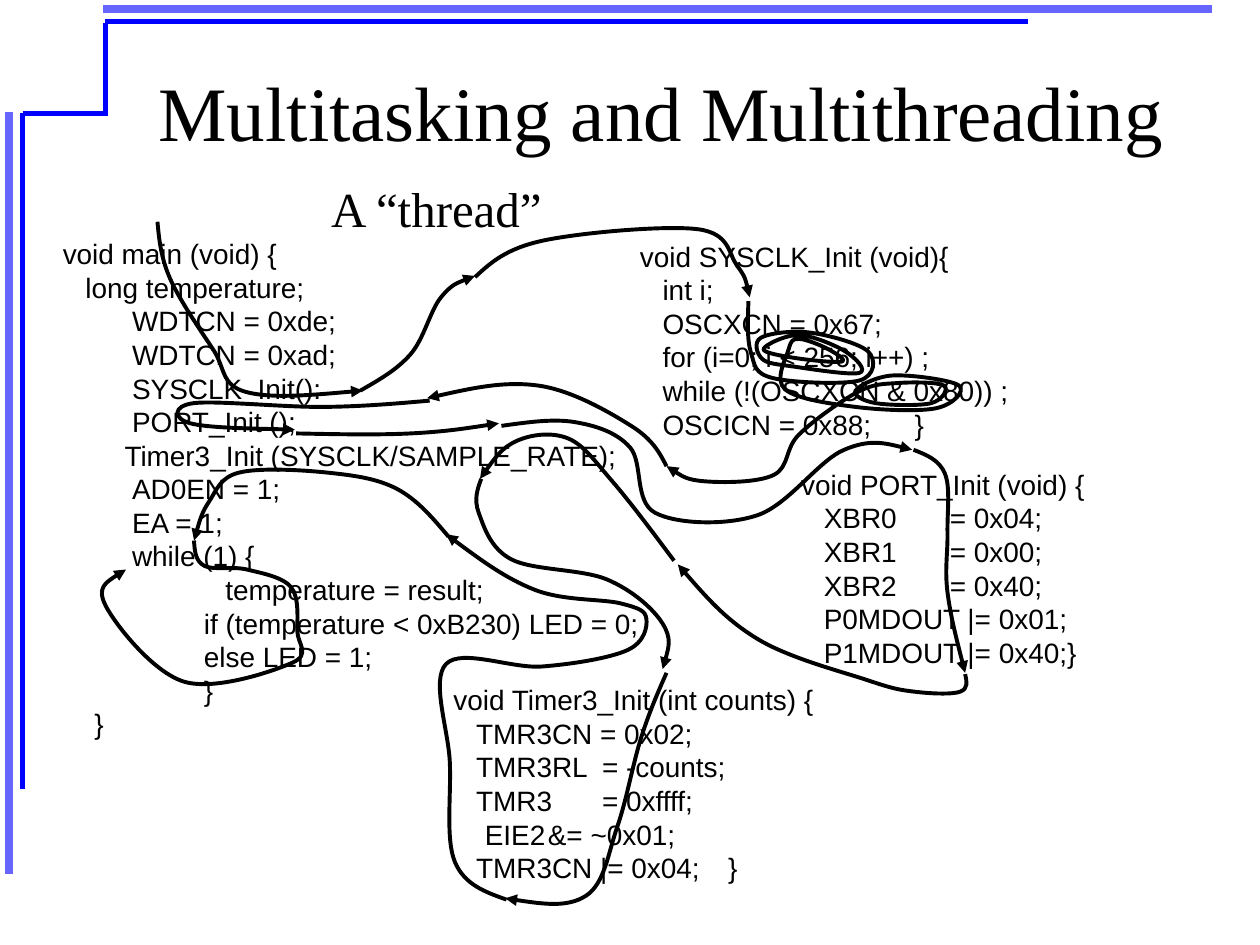
from dataclasses import dataclass

import lxml.etree
import pptx
import pptx.dml.color
import pptx.enum.shapes
import pptx.enum.text
import pptx.oxml.ns
import pptx.util

Inches = pptx.util.Inches
Pt = pptx.util.Pt
qn = pptx.oxml.ns.qn


@dataclass(frozen=True)
class Theme:
    ink: str = "000000"
    outer_rule: str = "6666FF"
    inner_rule: str = "0000FF"
    serif: str = "Times New Roman"
    sans: str = "Arial"
    title_size: float = 44
    label_size: float = 28
    code_size: float = 16
    outer_width: float = 4.5
    inner_width: float = 3
    thread_width: float = 2.25


def smooth_curve(anchors):
    last = len(anchors) - 1

    def midpoint(a, b):
        return tuple((p + q) / 2 for p, q in zip(a, b))

    def handle(i, direction):
        return tuple(p + direction * (after - before) / 6
                     for before, p, after in zip(anchors[i - 1], anchors[i], anchors[i + 1]))

    points = []
    for i in range(last):
        leaving = handle(i, 1) if i > 0 else midpoint(anchors[0], handle(1, -1))
        arriving = handle(i + 1, -1) if i + 1 < last else midpoint(handle(i, 1), anchors[last])
        points += [leaving, arriving, anchors[i + 1]]
    return points


class SlideBuilder:
    def __init__(self, slide, theme):
        self.slide = slide
        self.theme = theme

    def style_font(self, font, face, size):
        font.name = face
        font.size = Pt(size)
        font.color.rgb = pptx.dml.color.RGBColor.from_string(self.theme.ink)

    def style_line(self, line, color, width):
        line.color.rgb = pptx.dml.color.RGBColor.from_string(color)
        line.width = Pt(width)

    def title(self, text, left, top, width, height):
        heading = self.slide.shapes.title
        heading.left, heading.top = Inches(left), Inches(top)
        heading.width, heading.height = Inches(width), Inches(height)
        heading.text_frame.text = text
        heading.text_frame.vertical_anchor = pptx.enum.text.MSO_ANCHOR.MIDDLE
        paragraph = heading.text_frame.paragraphs[0]
        paragraph.alignment = pptx.enum.text.PP_ALIGN.CENTER
        self.style_font(paragraph.font, self.theme.serif, self.theme.title_size)

    def rule(self, start, end, color, width):
        connector = self.slide.shapes.add_connector(
            pptx.enum.shapes.MSO_CONNECTOR.STRAIGHT, *map(Inches, start + end))
        self.style_line(connector.line, color, width)
        lxml.etree.SubElement(connector._element.spPr, qn("a:effectLst"))

    def text(self, lines, box, face, size):
        frame = self.slide.shapes.add_textbox(*map(Inches, box)).text_frame
        frame.word_wrap = False
        frame.auto_size = pptx.enum.text.MSO_AUTO_SIZE.SHAPE_TO_FIT_TEXT
        for number, (indent, content, *stops) in enumerate(lines):
            paragraph = frame.add_paragraph() if number else frame.paragraphs[0]
            paragraph.text = content
            self.style_font(paragraph.font, face, size)
            properties = paragraph._p.get_or_add_pPr()
            properties.set("marL", str(Inches(indent)))
            properties.set("indent", "0")
            if stops:
                tabs = lxml.etree.Element(qn("a:tabLst"))
                for stop in stops:
                    lxml.etree.SubElement(tabs, qn("a:tab"), pos=str(Inches(stop)), algn="l")
                properties.insert(0, tabs)

    def label(self, content, box):
        self.text([(0, content)], box, self.theme.serif, self.theme.label_size)

    def code(self, lines, box):
        self.text(lines, box, self.theme.sans, self.theme.code_size)

    def thread(self, anchors):
        points = [tuple(map(Inches, point)) for point in smooth_curve(anchors)]
        builder = self.slide.shapes.build_freeform(*map(Inches, anchors[0]))
        builder.add_line_segments(points, close=False)
        curve = builder.convert_to_shape()
        segments = curve._element.xpath(".//a:lnTo")
        for first in range(0, len(segments), 3):
            bezier = lxml.etree.Element(qn("a:cubicBezTo"))
            segments[first].addprevious(bezier)
            for segment in segments[first:first + 3]:
                bezier.append(segment[0])
                segment.getparent().remove(segment)
        curve.shadow.inherit = False
        curve.fill.background()
        self.style_line(curve.line, self.theme.ink, self.theme.thread_width)
        lxml.etree.SubElement(curve.line._get_or_add_ln(), qn("a:tailEnd"), type="triangle")


OUTER_RULES = [((0.07, 0.89), (0.07, 6.94)), ((0.82, 0.07), (9.62, 0.07))]
INNER_RULES = [
    ((0.18, 0.9), (0.18, 6.26)), ((0.83, 0.17), (8.16, 0.17)),
    ((0.18, 0.9), (0.85, 0.9)), ((0.84, 0.92), (0.84, 0.18)),
]

STEP, BODY, BRANCH = 0.18, 0.55, 1.12

FUNCTIONS = [
    ((0.4, 1.83, 4.77, 4.1), [
        (0, "void main (void) {"), (STEP, "long temperature;"),
        (BODY, "WDTCN = 0xde;"), (BODY, "WDTCN = 0xad;"),
        (BODY, "SYSCLK_Init():"), (BODY, "PORT_Init ();"),
        (0.49, "Timer3_Init (SYSCLK/SAMPLE_RATE);"),
        (BODY, "AD0EN = 1;"), (BODY, "EA = 1;"), (BODY, "while (1) {"),
        (1.29, "temperature = result;"),
        (BRANCH, "if (temperature < 0xB230) LED = 0;"),
        (BRANCH, "else LED = 1;"), (BRANCH, "}"), (0.25, "}"),
    ]),
    ((6.26, 3.66, 3.55, 1.7), [
        (0, "void PORT_Init (void) {"),
        (STEP, "XBR0\t= 0x04;", 1.01), (STEP, "XBR1\t= 0x00;", 1.01),
        (STEP, "XBR2\t= 0x40;", 1.01),
        (STEP, "P0MDOUT |= 0x01;"), (STEP, "P1MDOUT |= 0x40;}"),
    ]),
    ((3.5, 5.37, 3.48, 1.7), [
        (0, "void Timer3_Init (int counts) {"), (STEP, "TMR3CN = 0x02;"),
        (STEP, "TMR3RL\t= -counts;", 1.18), (STEP, "TMR3\t= 0xffff;", 1.03),
        (0.25, "EIE2\t&= ~0x01;", 0.91), (STEP, "TMR3CN |= 0x04;\t}", 2.08),
    ]),
    ((4.98, 1.85, 3.68, 1.7), [
        (0, "void SYSCLK_Init (void){"), (STEP, "int i;"),
        (STEP, "OSCXCN = 0x67;"), (STEP, "for (i=0; i < 256; i++) ;"),
        (STEP, "while (!(OSCXCN & 0x80)) ;"), (STEP, "OSCICN = 0x88;\t}", 1.95),
    ]),
]

THREADS = [
    [(1.25, 1.76), (1.35, 2.21), (1.69, 2.77), (1.95, 3.11), (2.88, 3.1)],
    [(2.86, 3.1), (3.26, 2.81), (3.5, 2.36), (3.77, 2.19)],
    [(3.77, 2.2), (4.31, 1.91), (5.54, 1.82), (5.85, 2.11), (5.95, 2.36)],
    [(5.29, 3.7), (5.01, 3.38), (4.27, 3.06), (3.39, 3.16)],
    [(3.41, 3.18), (2.57, 3.23), (1.54, 3.2), (1.51, 3.36), (2.34, 3.41)],
    [(5.94, 2.39), (5.96, 2.8), (6.13, 3), (6.82, 3.02), (6.89, 2.79), (6.43, 2.64),
     (6.04, 2.68), (6.05, 2.85), (6.3, 2.91), (6.82, 2.96), (6.71, 2.79), (6.34, 2.66),
     (6.06, 2.77), (6.3, 2.84), (6.68, 2.87), (6.57, 2.77), (6.34, 2.69), (6.26, 2.77),
     (6.23, 3.09), (6.79, 3.23), (7.43, 3.24), (7.61, 3.06), (7.09, 2.98), (6.79, 3.1),
     (6.95, 3.2), (7.39, 3.2), (7.49, 3.06), (7.13, 3.04), (6.81, 3.11), (6.34, 3.45),
     (6.14, 3.77), (5.59, 3.82), (5.29, 3.7)],
    [(2.35, 3.44), (3.26, 3.44), (3.96, 3.36)],
    [(3.98, 3.38), (4.56, 3.35), (5, 3.55), (5.2, 4.07), (6.01, 4.09), (6.7, 3.57), (7.24, 3.57)],
    [(7.25, 3.57), (7.5, 3.76), (7.52, 4.23), (7.52, 4.7), (7.66, 5.34)],
    [(7.66, 5.35), (7.62, 5.49), (7.26, 5.49), (6.89, 5.4), (6.01, 5.07), (5.38, 4.48)],
    [(5.35, 4.45), (4.86, 3.82), (4.51, 3.48), (4.1, 3.5), (3.81, 3.8)],
    [(3.82, 3.8), (3.8, 4.07), (4.06, 4.44), (4.82, 4.6), (5.26, 4.95), (5.26, 5.31)],
    [(5.29, 5.34), (5.09, 5.85), (4.9, 6.56), (4.65, 7.11), (4.01, 7.13)],
    [(4.02, 7.14), (3.61, 6.84), (3.57, 6.05), (3.54, 5.27), (4.3, 5.29), (4.98, 5.16),
     (5.13, 4.91), (4.93, 4.79), (4.24, 4.68), (3.54, 4.24)],
    [(3.56, 4.26), (3.15, 3.88), (2.59, 3.75), (1.9, 3.75), (1.66, 3.98), (1.54, 4.29)],
    [(1.54, 4.29), (1.62, 4.49), (1.96, 4.52), (2.31, 4.66), (2.36, 5.01), (2.32, 5.26),
     (1.46, 5.41), (0.84, 4.81), (1, 4.52)],
]


def main():
    deck = pptx.Presentation()
    deck.slide_width, deck.slide_height = Inches(10), Inches(7.5)
    theme = Theme()
    builder = SlideBuilder(deck.slides.add_slide(deck.slide_layouts[5]), theme)
    for start, end in OUTER_RULES:
        builder.rule(start, end, theme.outer_rule, theme.outer_width)
    for start, end in INNER_RULES:
        builder.rule(start, end, theme.inner_rule, theme.inner_width)
    builder.title("Multitasking and Multithreading", 1, 0.25, 8.5, 1.25)
    builder.label("A “thread”", (2.53, 1.37, 1.89, 0.57))
    for box, lines in FUNCTIONS:
        builder.code(lines, box)
    for anchors in THREADS:
        builder.thread(anchors)
    deck.save("out.pptx")


if __name__ == "__main__":
    main()
